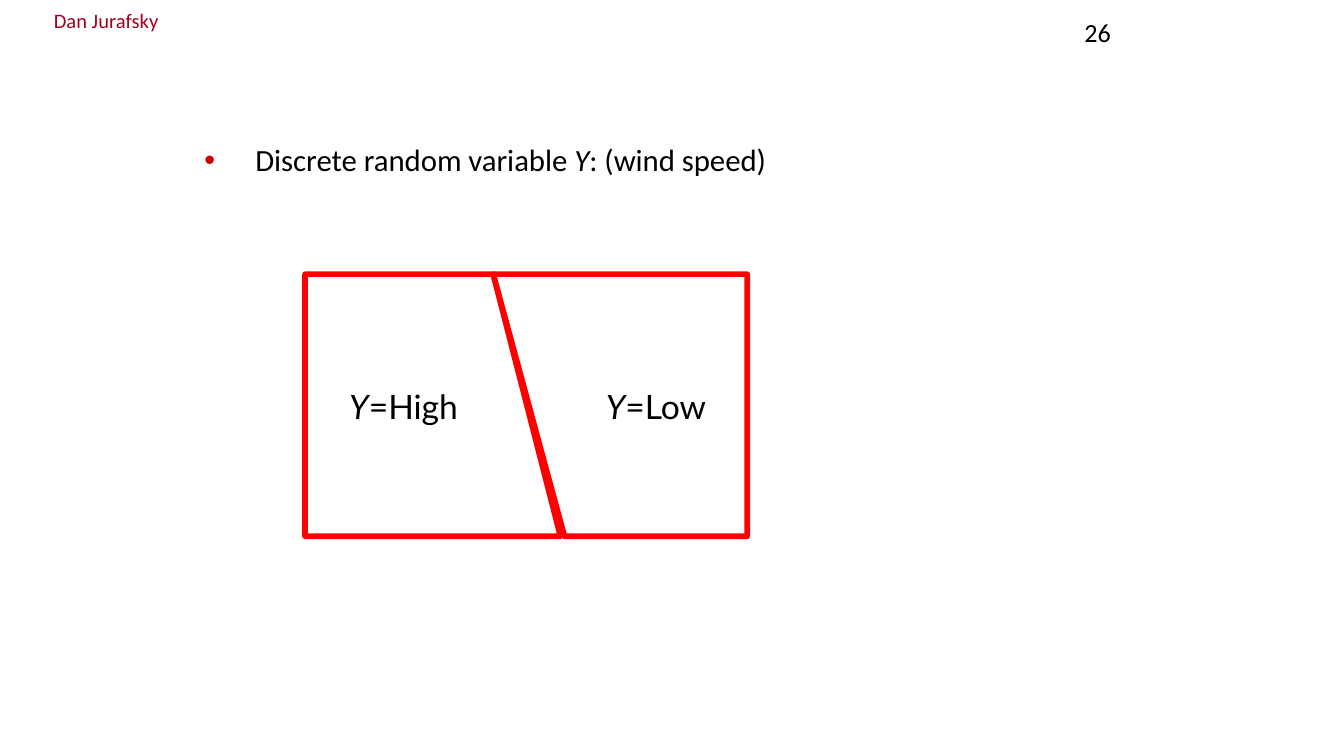
from lxml import etree
from pptx import Presentation
from pptx import util as u
from pptx.dml.color import RGBColor
from pptx.enum import text
from pptx.oxml.ns import qn

BLACK = RGBColor(0x00, 0x00, 0x00)
RED = RGBColor(0xFF, 0x00, 0x00)
BULLET_RED = RGBColor(0xCC, 0x00, 0x00)
AUTHOR_RED = RGBColor(0xA4, 0x00, 0x1D)

# Edges of the sample space, in inches
LEFT, RIGHT, TOP, BOTTOM = 2.27, 5.56, 2.04, 3.99
SPLIT_TOP = 3.67


def add_runs(p, parts, size, font, color=BLACK):
    """Fill a paragraph from (string, italic) pairs."""
    for string, italic in parts:
        r = p.add_run()
        r.text = string
        r.font.size, r.font.name, r.font.italic = u.Pt(size), font, italic
        r.font.color.rgb = color


def add_label(s, box, parts, size, font="Calibri", color=BLACK):
    tb = s.shapes.add_textbox(*map(u.Inches, box))
    tf = tb.text_frame
    tf.word_wrap = True
    add_runs(tf.paragraphs[0], parts, size, font, color)
    return tf


def add_region(s, points):
    """Draw a closed outline without fill."""
    start, *rest = [(u.Inches(x), u.Inches(y)) for x, y in points]
    builder = s.shapes.build_freeform(*start)
    builder.add_line_segments(rest, close=True)
    sp = builder.convert_to_shape()
    sp.shadow.inherit = False
    sp.fill.background()
    sp.line.color.rgb = RED
    sp.line.width = u.Pt(3)


def set_bullet(p, char, color, indent):
    pPr = p._p.get_or_add_pPr()
    pPr.set("marL", str(u.Inches(indent)))
    pPr.set("indent", str(-u.Inches(indent)))
    clr = etree.SubElement(pPr, qn("a:buClr"))
    etree.SubElement(clr, qn("a:srgbClr"), val=str(color))
    etree.SubElement(pPr, qn("a:buFont"), typeface="Arial")
    etree.SubElement(pPr, qn("a:buChar"), char=char)


def fill_body(body):
    body.left, body.top = u.Inches(1.42), u.Inches(1)
    body.width, body.height = u.Inches(7.16), u.Inches(4.43)
    tf = body.text_frame
    tf.auto_size = text.MSO_AUTO_SIZE.NONE
    p = tf.paragraphs[0]
    set_bullet(p, "•", BULLET_RED, 0.38)
    p.space_before = u.Pt(0)
    add_runs(p, [("Discrete random variable ", False), ("Y", True),
                 (": (wind speed)", False)], 16.5, "Calibri")


def main():
    prs = Presentation()
    prs.slide_width = u.Inches(10)
    prs.slide_height = prs.slide_width * 9 // 16
    s = prs.slides.add_slide(prs.slide_layouts[1])
    title = s.shapes.title
    title.element.getparent().remove(title.element)

    # Author and page number
    tf = add_label(s, (0.08, 0.01, 1.42, 0.29), [("Dan Jurafsky", False)],
                   11, color=AUTHOR_RED)
    tf.margin_left = tf.margin_right = 0
    tf.paragraphs[0].alignment = text.PP_ALIGN.CENTER
    add_label(s, (7.97, 0.07, 1.87, 0.38), [("26", False)], 14)

    # Bullet
    fill_body(s.placeholders[1])

    # Sample space split into the two values of Y
    regions = [
        ("=High", (2.5, 2.82, 1.11, 0.4),
         [(LEFT, TOP), (LEFT, BOTTOM), (4.17, BOTTOM), (SPLIT_TOP, TOP)]),
        ("=Low", (4.41, 2.82, 1, 0.4),
         [(SPLIT_TOP, TOP), (4.2, BOTTOM), (RIGHT, BOTTOM), (RIGHT, TOP)]),
    ]
    for value, box, points in regions:
        add_label(s, box, [("Y", True), (value, False)], 18, "Lato")
        add_region(s, points)

    prs.save("out.pptx")


if __name__ == "__main__":
    main()
